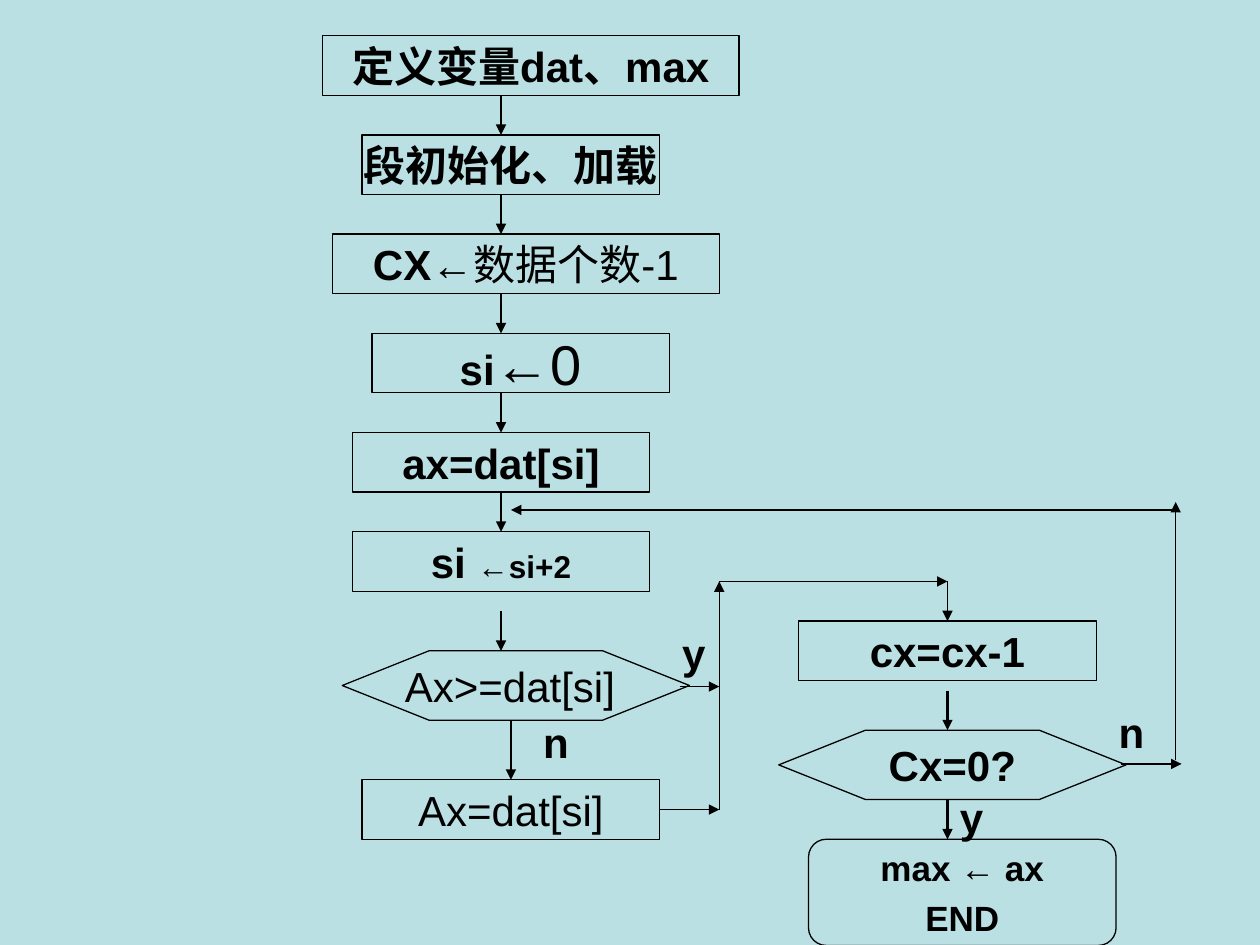
"""Build the flowchart slide for finding the maximum of a data list."""
import lxml.etree
import pptx
import pptx.dml.color
import pptx.enum.shapes
import pptx.enum.text
import pptx.oxml.ns
import pptx.util

WIDTH, HEIGHT = 10, 7.5
CELL = WIDTH / 12.7
FIRST_ROW = 0.36
BOX_HEIGHT, HEXAGON_HEIGHT = 0.6, 0.7
INK, BACKGROUND = "000000", "BBE0E3"
FONT = "Arial"
THIN, THICK = 0.75, 1.5
MAIN, BRANCH, LOOP, SIDE = 5.05, 7.25, 11.85, 9.55

KINDS = pptx.enum.shapes.MSO_SHAPE
BOX, HEXAGON, ROUNDED = KINDS.RECTANGLE, KINDS.HEXAGON, KINDS.ROUNDED_RECTANGLE

# Nodes: kind, column, row, columns wide, rows high, paragraphs of (text, size, bold).
NODES = [
    (BOX, 3.25, 0, 4.2, BOX_HEIGHT, [[("定义变量dat、max", 24, True)]]),
    (BOX, 3.65, 1, 3, BOX_HEIGHT, [[("段初始化、加载", 24, True)]]),
    (BOX, 3.35, 2, 3.9, BOX_HEIGHT, [[("CX←", 24, True), ("数据个数-1", 24, False)]]),
    (BOX, 3.75, 3, 3, BOX_HEIGHT, [[("si", 24, True), ("←", 32, True), ("0", 32, False)]]),
    (BOX, 3.55, 4, 3, BOX_HEIGHT, [[("ax=dat[si]", 24, True)]]),
    (BOX, 3.55, 5, 3, BOX_HEIGHT, [[("si ", 24, True), ("←si+2", 18, True)]]),
    (HEXAGON, 3.45, 6.2, 3.5, HEXAGON_HEIGHT, [[("Ax>=dat[si] ", 24, False)]]),
    (BOX, 3.65, 7.5, 3, BOX_HEIGHT, [[("Ax=dat[si]", 24, False)]]),
    (BOX, 8.05, 5.9, 3, BOX_HEIGHT, [[("cx=cx-1", 24, True)]]),
    (HEXAGON, 7.85, 7, 3.5, HEXAGON_HEIGHT, [[("Cx=0?", 24, True)]]),
    (ROUNDED, 8.15, 8.1, 3.1, 1.07, [[("max ← ax", 20, True)], [("END", 20, True)]]),
]
LABELS = [
    ("y", 6.75, 5.9, 0.6),
    ("n", 5.35, 6.8, 0.5),
    ("n", 11.15, 6.7, 0.6),
    ("y", 9.55, 7.56, 0.6),
]
ARROWS = [(MAIN, row + BOX_HEIGHT, MAIN, row + 1, THICK) for row in range(5)] + [
    (MAIN, 5.8, MAIN, 6.2, THICK),
    (5.15, 6.9, 5.15, 7.5, THICK),
    (SIDE, 6.6, SIDE, 7, THICK),
    (SIDE, 7.7, SIDE, 8.1, THICK),
    (6.65, 7.8, BRANCH, 7.8, THIN),
    (6.85, 6.56, BRANCH, 6.56, THIN),
    (BRANCH, 7.8, BRANCH, 5.5, THIN),
    (BRANCH, 5.5, SIDE, 5.5, THIN),
    (SIDE, 5.5, SIDE, 5.9, THIN),
    (11.3, 7.34, 11.91, 7.34, THIN),
    (LOOP, 7.3, LOOP, 4.7, THIN),
    (LOOP, 4.78, 5.15, 4.78, THIN),
]


def color(value):
    return pptx.dml.color.RGBColor.from_string(value)


def across(columns):
    return pptx.util.Inches(columns * CELL)


def down(row):
    return pptx.util.Inches((row + FIRST_ROW) * CELL)


def write(para, spans):
    for text, size, bold in spans:
        span = para.add_run()
        span.text = text
        span.font.name = FONT
        span.font.size = pptx.util.Pt(size)
        span.font.bold = bold
        span.font.color.rgb = color(INK)


def add_node(page, kind, column, row, columns, rows, paragraphs):
    node = page.shapes.add_shape(
        kind, across(column), down(row), across(columns), across(rows))
    node.shadow.inherit = False
    node.fill.background()
    node.line.color.rgb = color(INK)
    node.line.width = pptx.util.Pt(THIN)
    if kind == HEXAGON:
        node.adjustments[0] = 1.25
    frame = node.text_frame
    frame.word_wrap = False
    frame.vertical_anchor = pptx.enum.text.MSO_ANCHOR.MIDDLE
    for index, spans in enumerate(paragraphs):
        para = frame.add_paragraph() if index else frame.paragraphs[0]
        para.alignment = pptx.enum.text.PP_ALIGN.CENTER
        if index:
            para.space_before = pptx.util.Pt(5)
        write(para, spans)


def add_label(page, text, column, row, columns):
    box = page.shapes.add_textbox(
        across(column), down(row), across(columns), pptx.util.Inches(0.5))
    box.text_frame.word_wrap = True
    write(box.text_frame.paragraphs[0], [(text, 24, True)])


def add_arrow(page, start_column, start_row, end_column, end_row, weight):
    arrow = page.shapes.add_connector(
        pptx.enum.shapes.MSO_CONNECTOR.STRAIGHT,
        across(start_column), down(start_row), across(end_column), down(end_row))
    arrow.line.color.rgb = color(INK)
    arrow.line.width = pptx.util.Pt(weight)
    tag = pptx.oxml.ns.qn
    lxml.etree.SubElement(arrow.line._get_or_add_ln(), tag("a:tailEnd"), type="triangle")
    lxml.etree.SubElement(arrow._element.spPr, tag("a:effectLst"))


def main():
    deck = pptx.Presentation()
    deck.slide_width = pptx.util.Inches(WIDTH)
    deck.slide_height = pptx.util.Inches(HEIGHT)
    page = deck.slides.add_slide(deck.slide_layouts[6])
    page.background.fill.solid()
    page.background.fill.fore_color.rgb = color(BACKGROUND)
    for node in NODES:
        add_node(page, *node)
    for label in LABELS:
        add_label(page, *label)
    for arrow in ARROWS:
        add_arrow(page, *arrow)
    deck.save("out.pptx")


if __name__ == "__main__":
    main()
